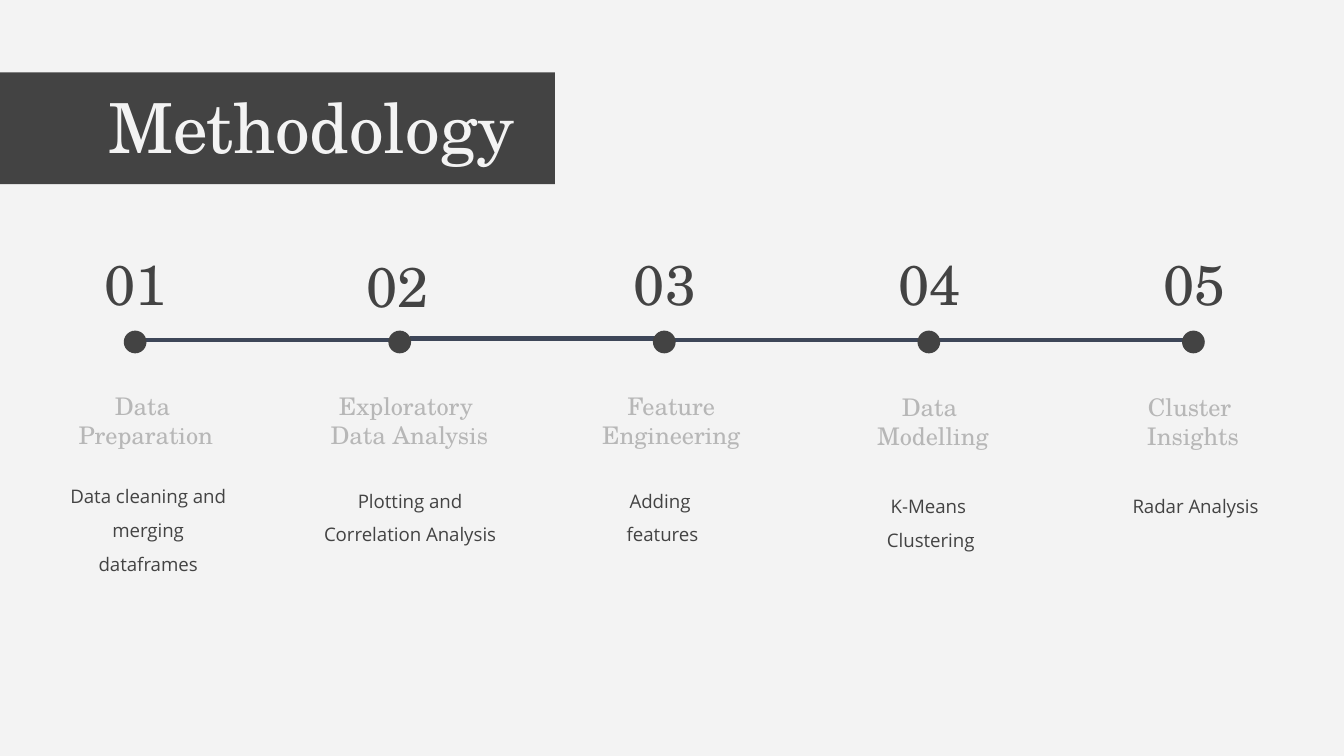
from lxml import etree
from pptx import Presentation
from pptx.dml.color import RGBColor
from pptx.enum.shapes import MSO_CONNECTOR, MSO_SHAPE
from pptx.enum.text import MSO_ANCHOR, PP_ALIGN
from pptx.oxml.ns import qn
from pptx.util import Cm, Pt

RECT, OVAL = MSO_SHAPE.RECTANGLE, MSO_SHAPE.OVAL
STRAIGHT = MSO_CONNECTOR.STRAIGHT
TOP, MIDDLE = MSO_ANCHOR.TOP, MSO_ANCHOR.MIDDLE
LEFT, CENTER = PP_ALIGN.LEFT, PP_ALIGN.CENTER

PALE, DARK, GREY, NAVY = "F3F3F3", "434343", "B7B7B7", "3D4658"
SERIF, SANS = "TeX Gyre Schola", "Open Sans"

# Font and paragraph format of each kind of text
TITLE = ({"name": SERIF, "size": Pt(37)}, PALE, {"alignment": LEFT})
NUMBER = ({"name": SERIF, "size": Pt(30)}, DARK, {"alignment": CENTER})
HEADING = ({"name": SERIF, "size": Pt(13)}, GREY, {"alignment": CENTER})
BODY = ({"name": SANS, "size": Pt(10)}, DARK,
        {"alignment": CENTER, "line_spacing": 1.5, "space_after": Pt(16)})

# Timeline geometry in cm
PITCH = 5
DOT_X, DOT_Y, DOT_SIZE = 2.34, 6.25, 0.43
LINE_X, LINE_LENGTH = 2.74, 4.85
LINE_TOPS = (6.43, 6.40, 6.43, 6.43)

# Each step: number (x, y), heading (x, y, width, text), body (x, y, width, text)
# "\n" starts a paragraph, "\v" breaks a line
STEPS = [
    ((0.88, 4.47), (0.33, 7.14, 4.85, "Data \nPreparation"),
     (0.91, 8.71, 3.78, "Data cleaning and merging dataframes")),
    ((5.82, 4.50), (5.31, 7.14, 4.85, "Exploratory \nData Analysis"),
     (5.82, 8.79, 3.86, "Plotting and Correlation Analysis")),
    ((10.88, 4.47), (10.54, 7.14, 4.29, "Feature Engineering"),
     (10.59, 8.79, 3.86, "Adding \vfeatures")),
    ((15.88, 4.47), (15.32, 7.16, 4.62, "Data \nModelling"),
     (15.70, 8.89, 3.78, "K-Means \vClustering")),
    ((20.88, 4.47), (20.40, 7.16, 4.29, "Cluster \nInsights"),
     (20.45, 8.89, 4.29, "Radar Analysis")),
]


def color(hex_value):
    return RGBColor.from_string(hex_value)


def set_all(obj, values):
    for name, value in values.items():
        setattr(obj, name, value)


def add_block(s, kind, x, y, w, h, fill):
    sp = s.shapes.add_shape(kind, Cm(x), Cm(y), Cm(w), Cm(h))
    sp.shadow.inherit = False
    sp.fill.solid()
    sp.fill.fore_color.rgb = color(fill)
    sp.line.fill.background()


def add_line(s, x, y, length):
    cn = s.shapes.add_connector(STRAIGHT, Cm(x), Cm(y), Cm(x + length), Cm(y))
    cn.line.color.rgb = color(NAVY)
    cn.line.width = Pt(2.25)
    etree.SubElement(cn.element.spPr, qn("a:effectLst"))


def add_text(s, x, y, w, h, text, style, anchor=TOP):
    font, rgb, layout = style
    tf = s.shapes.add_textbox(Cm(x), Cm(y), Cm(w), Cm(h)).text_frame
    set_all(tf, {"word_wrap": True, "vertical_anchor": anchor})
    for side in ("left", "top", "right", "bottom"):
        setattr(tf, f"margin_{side}", Cm(0.25))
    tf.text = text
    for p in tf.paragraphs:
        set_all(p, layout)
        for r in p.runs:
            set_all(r.font, font)
            r.font.color.rgb = color(rgb)


def add_timeline(s):
    for i, y in enumerate(LINE_TOPS):
        add_line(s, LINE_X + i * PITCH, y, LINE_LENGTH)
    for i in range(len(STEPS)):
        add_block(s, OVAL, DOT_X + i * PITCH, DOT_Y, DOT_SIZE, DOT_SIZE, DARK)


def add_step(s, i, number, heading, body):
    add_text(s, *number, 3.38, 1.8, f"{i:02d}", NUMBER)
    for (x, y, w, text), h, style in ((heading, 1.75, HEADING), (body, 1.22, BODY)):
        add_text(s, x, y, w, h, text, style)


def main():
    prs = Presentation()
    prs.slide_width, prs.slide_height = Cm(25.4), Cm(14.29)
    s = prs.slides.add_slide(prs.slide_layouts[6])
    s.background.fill.solid()
    s.background.fill.fore_color.rgb = color(PALE)

    # Title on its bar
    add_block(s, RECT, -0.1, 1.37, 10.59, 2.11, DARK)
    add_text(s, 1.8, 1.14, 9.42, 2.49, "Methodology", TITLE, MIDDLE)

    # Timeline and the text of its steps
    add_timeline(s)
    for i, step in enumerate(STEPS, 1):
        add_step(s, i, *step)

    prs.save("out.pptx")


if __name__ == "__main__":
    main()
